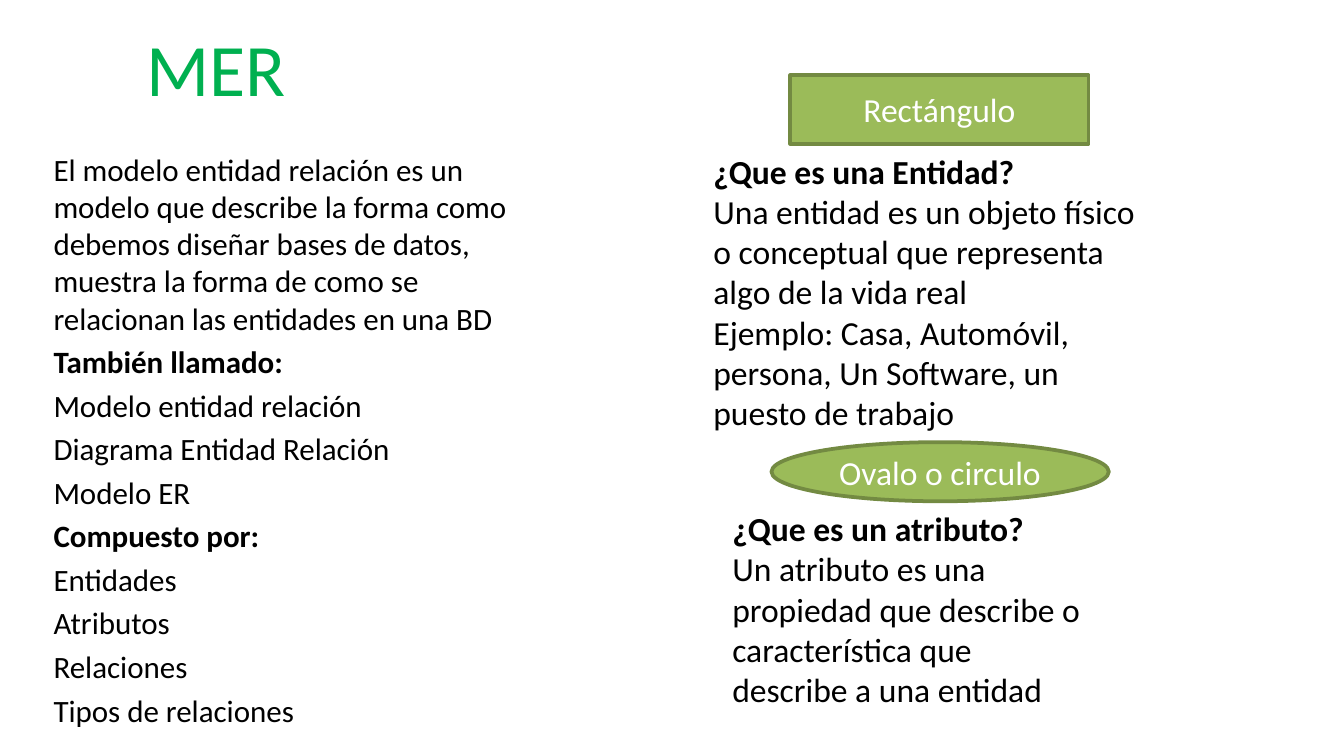
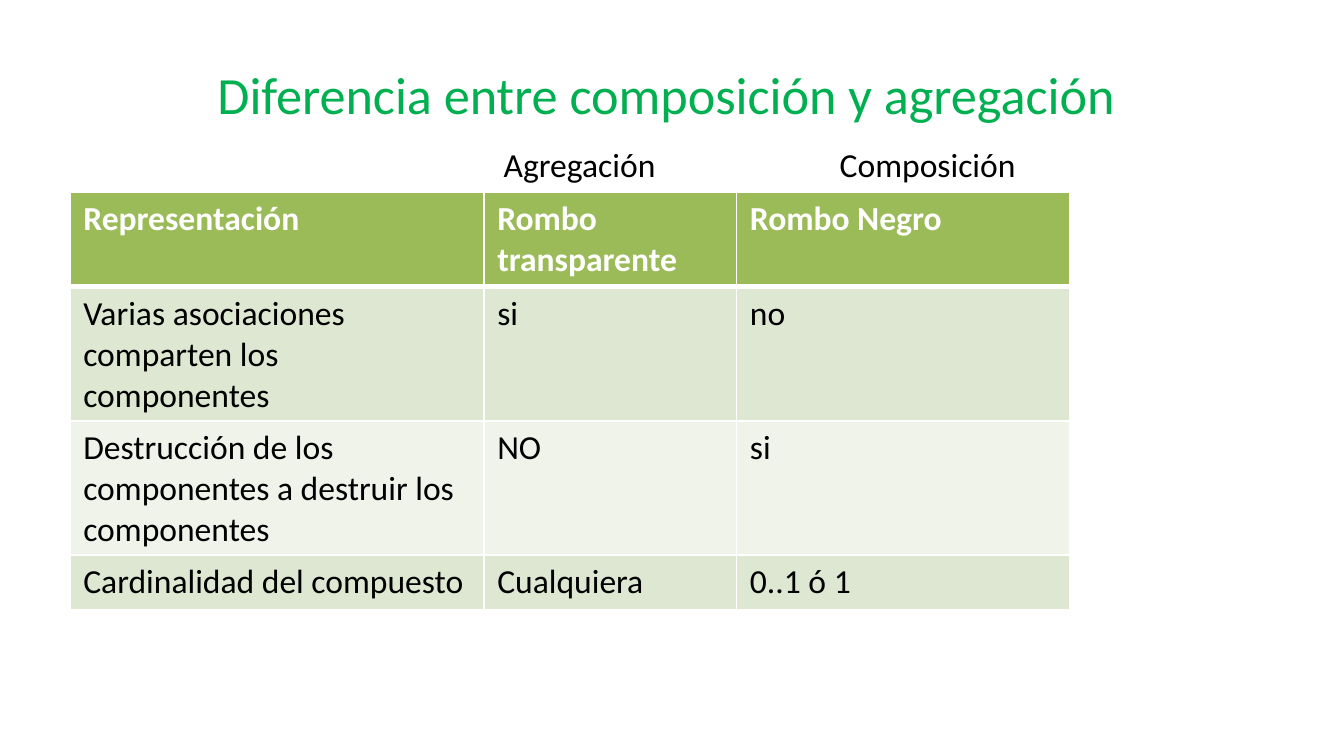
"""Build two slides on the entity-relationship model and on aggregation versus composition."""
from lxml import etree
from pptx import Presentation
from pptx import util as u
from pptx.dml.color import RGBColor
from pptx.enum import shapes, text
from pptx.oxml import ns

PAGE_WIDTH = 10
PAGE_HEIGHT = PAGE_WIDTH * 9 / 16
FONT = "Calibri"
COLORS = {
    "title": "00B050",
    "text": "000000",
    "white": "FFFFFF",
    "green": "9BBB59",
    "outline": "738A42",
    "band_dark": "DEE7D1",
    "band_light": "EFF3EA",
}
CENTERED = {"align": text.PP_ALIGN.CENTER, "anchor": text.MSO_ANCHOR.MIDDLE}

MODEL_TITLE = ("MER", (0.5, 0.23, 2.22, 0.53), 39.6)
MODEL_AREA = (0.3, 1.07, 3.78, 4.33)
MODEL_LINES = [
    ("El modelo entidad relación es un modelo que describe la forma como debemos "
     "diseñar bases de datos, muestra la forma de como se relacionan las entidades en una BD"),
    "También llamado:",
    "Modelo entidad relación",
    "Diagrama Entidad Relación",
    "Modelo ER",
    "Compuesto por:",
    "Entidades",
    "Atributos",
    "Relaciones",
    "Tipos de relaciones",
]
DEFINITIONS = [
    ((5.21, 1.07, 3.4, 2.22), [
        "¿Que es una Entidad?",
        "Una entidad es un objeto físico o conceptual que representa algo de la vida real",
        "Ejemplo: Casa, Automóvil, persona, Un Software, un puesto de trabajo",
    ]),
    ((5.35, 3.73, 2.85, 1.62), [
        "¿Que es un atributo?",
        "Un atributo es una propiedad que describe o característica que describe a una entidad",
    ]),
]
SYMBOLS = [
    ("Rectángulo", shapes.MSO_SHAPE.RECTANGLE, (5.88, 0.56, 2.22, 0.51)),
    ("Ovalo o circulo", shapes.MSO_SHAPE.OVAL, (5.74, 3.29, 2.51, 0.44)),
]
HEADINGS = {"También llamado:", "Compuesto por:", "¿Que es una Entidad?", "¿Que es un atributo?"}

COMPARISON_TITLE = ("Diferencia entre composición y agregación ", (0.5, 0.23, 9, 0.94), 28)
COLUMN_LABELS = [
    ("Agregación", (3.65, 1.02, 1.66, 0.4)),
    ("Composición", (6.15, 1.02, 1.53, 0.4)),
]
TABLE_AREA = (0.52, 1.43, 7.44, 3.11)
COLUMN_WIDTHS = [3.08, 1.88, 2.48]
ROW_HEIGHT = 0.41
COMPARISON = [
    ("Representación", "Rombo transparente", "Rombo Negro"),
    ("Varias asociaciones comparten los componentes", "si", "no"),
    ("Destrucción de los componentes a destruir los componentes", "NO", "si"),
    ("Cardinalidad del compuesto", "Cualquiera", "0..1 ó 1"),
]


def color(name):
    return RGBColor.from_string(COLORS[name])


def inches(values):
    return [u.Inches(value) for value in values]


def write(frame, lines, size=18, ink="text", bold=False, align=None, anchor=None, gap=0):
    frame.word_wrap = True
    if anchor is not None:
        frame.vertical_anchor = anchor
    for index, line in enumerate(lines):
        para = frame.paragraphs[0] if index == 0 else frame.add_paragraph()
        para.alignment = align
        if index and gap:
            para.space_before = u.Pt(gap)
        span = para.add_run()
        span.text = line
        look = {"name": FONT, "size": u.Pt(size), "bold": bold or line in HEADINGS}
        for key, value in look.items():
            setattr(span.font, key, value)
        span.font.color.rgb = color(ink)


def add_text(page, area, lines, **look):
    box = page.shapes.add_textbox(*inches(area))
    write(box.text_frame, lines, **look)


def add_page(deck, title):
    page = deck.slides.add_slide(deck.slide_layouts[6])
    line, area, size = title
    add_text(page, area, [line], size=size, ink="title", **CENTERED)
    return page


def add_symbol(page, label, kind, area):
    symbol = page.shapes.add_shape(kind, *inches(area))
    symbol.shadow.inherit = False
    symbol.fill.solid()
    symbol.fill.fore_color.rgb = color("green")
    symbol.line.color.rgb = color("outline")
    symbol.line.width = u.Pt(2)
    write(symbol.text_frame, [label], ink="white", **CENTERED)


def set_borders(cell, widths):
    props = cell._tc.get_or_add_tcPr()
    for side, points in widths.items():
        line = etree.SubElement(props, ns.qn(f"a:ln{side}"), w=str(u.Pt(points)))
        fill = etree.SubElement(line, ns.qn("a:solidFill"))
        etree.SubElement(fill, ns.qn("a:srgbClr"), val=COLORS["white"])


def add_comparison(page):
    holder = page.shapes.add_table(len(COMPARISON), len(COLUMN_WIDTHS), *inches(TABLE_AREA))
    table = holder.table
    for column, width in zip(table.columns, COLUMN_WIDTHS):
        column.width = u.Inches(width)
    for index, values in enumerate(COMPARISON):
        table.rows[index].height = u.Inches(ROW_HEIGHT)
        header = index == 0
        band = "green" if header else "band_dark" if index % 2 else "band_light"
        widths = {"L": 1, "R": 1, "T": 3 if index == 1 else 1, "B": 3 if header else 1}
        for cell, value in zip(table.rows[index].cells, values):
            set_borders(cell, widths)
            cell.fill.solid()
            cell.fill.fore_color.rgb = color(band)
            write(cell.text_frame, [value], ink="white" if header else "text", bold=header)
    holder.height = u.Inches(TABLE_AREA[3])


def main():
    deck = Presentation()
    deck.slide_width, deck.slide_height = inches((PAGE_WIDTH, PAGE_HEIGHT))

    page = add_page(deck, MODEL_TITLE)
    add_text(page, MODEL_AREA, MODEL_LINES, size=16.6, gap=3.4)
    for (area, lines), (label, kind, place) in zip(DEFINITIONS, SYMBOLS):
        add_text(page, area, lines)
        add_symbol(page, label, kind, place)

    page = add_page(deck, COMPARISON_TITLE)
    add_comparison(page)
    for label, area in COLUMN_LABELS:
        add_text(page, area, [label])

    deck.save("out.pptx")


if __name__ == "__main__":
    main()
